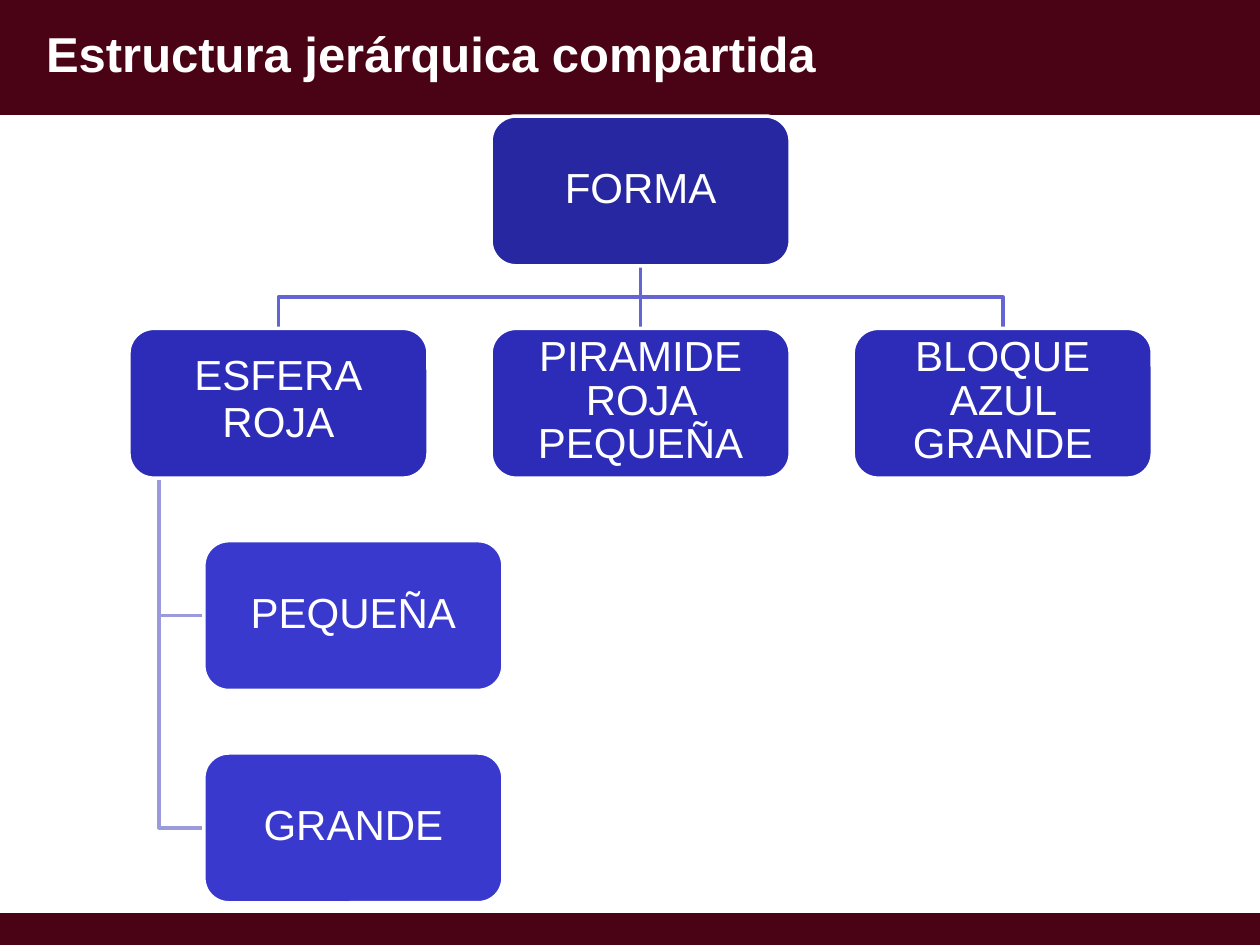
from lxml.etree import SubElement
from pptx import Presentation
from pptx.dml.color import RGBColor
from pptx.enum.shapes import MSO_CONNECTOR, MSO_SHAPE
from pptx.enum.text import MSO_ANCHOR, PP_ALIGN
from pptx.oxml.ns import qn
from pptx.util import Cm, Pt

WINE = RGBColor(0x4A, 0x03, 0x15)
WHITE = RGBColor(0xFF, 0xFF, 0xFF)
ROOT_BLUE = RGBColor(0x27, 0x27, 0xA1)
BRANCH_BLUE = RGBColor(0x2C, 0x2C, 0xB8)
LEAF_BLUE = RGBColor(0x39, 0x39, 0xCD)
BRANCH_LINE = RGBColor(0x64, 0x64, 0xD2)
LEAF_LINE = RGBColor(0x9A, 0x9A, 0xDD)

PAGE_WIDTH, PAGE_HEIGHT = 25.4, 19.05
NODE_WIDTH, NODE_HEIGHT = 6.03, 3.02
COLUMNS = [2.6 + 7.3 * column for column in range(3)]
ROWS = [2.34 + 4.28 * row for row in range(4)]
LEAF_LEFT = 4.11
TRUNK_X = 3.21


def write_text(shape, text, size=24, bold=False, align=PP_ALIGN.CENTER,
               line_spacing=1.0, inset=0, bottom=0, wrap=True):
    """Fill a shape with text, one paragraph for each line."""
    frame = shape.text_frame
    frame.text = text
    frame.word_wrap = wrap
    frame.vertical_anchor = MSO_ANCHOR.MIDDLE
    frame.margin_left = frame.margin_right = Cm(inset)
    frame.margin_top, frame.margin_bottom = 0, Cm(bottom)
    for para in frame.paragraphs:
        para.alignment = align
        para.line_spacing = line_spacing
        para.space_before = Pt(0)
        for span in para.runs:
            span.font.name = "Arial"
            span.font.size = Pt(size)
            span.font.bold = bold
            span.font.color.rgb = WHITE


def add_bar(page, top, height):
    """Add a full-width band behind the title."""
    bar = page.shapes.add_shape(MSO_SHAPE.RECTANGLE, 0, Cm(top),
                                Cm(PAGE_WIDTH), Cm(height))
    bar.shadow.inherit = False
    bar.fill.solid()
    bar.fill.fore_color.rgb = WINE
    bar.line.fill.background()
    page.shapes.title.element.addprevious(bar.element)


def add_title(page, text):
    """Place and format the title placeholder."""
    title = page.shapes.title
    title.left, title.top = Cm(0.93), Cm(0.45)
    title.width, title.height = Cm(15.62), Cm(1.25)
    write_text(title, text, size=28, bold=True, align=PP_ALIGN.LEFT, wrap=False)


def add_node(page, text, left, top, color, line_spacing=1.0, bottom=0.16):
    """Add a rounded node of the hierarchy."""
    node = page.shapes.add_shape(MSO_SHAPE.ROUNDED_RECTANGLE, Cm(left), Cm(top),
                                 Cm(NODE_WIDTH), Cm(NODE_HEIGHT))
    node.shadow.inherit = False
    node.fill.solid()
    node.fill.fore_color.rgb = color
    node.line.color.rgb = WHITE
    node.line.width = Pt(2)
    write_text(node, text, line_spacing=line_spacing, inset=0.5, bottom=bottom)


def add_link(page, points, color):
    """Join nodes by a straight line or a bent one."""
    points = [(Cm(x), Cm(y)) for x, y in points]
    if len(points) == 2:
        link = page.shapes.add_connector(MSO_CONNECTOR.STRAIGHT, *points[0], *points[1])
        SubElement(link.element.spPr, qn("a:effectLst"))
    else:
        builder = page.shapes.build_freeform(*points[0])
        builder.add_line_segments(points[1:], close=False)
        link = builder.convert_to_shape()
        link.shadow.inherit = False
        link.fill.background()
    link.line.color.rgb = color
    link.line.width = Pt(2)


def add_links(page):
    """Draw the links from the root to the branches and on to the leaves."""
    root_x = COLUMNS[1] + NODE_WIDTH / 2
    root_bottom = ROWS[0] + NODE_HEIGHT
    bend_y = (root_bottom + ROWS[1]) / 2
    for left in COLUMNS:
        x = left + NODE_WIDTH / 2
        bends = [] if x == root_x else [(root_x, bend_y), (x, bend_y)]
        add_link(page, [(root_x, root_bottom), *bends, (x, ROWS[1])], BRANCH_LINE)
    for top in ROWS[2:]:
        y = top + NODE_HEIGHT / 2
        add_link(page, [(TRUNK_X, ROWS[1] + NODE_HEIGHT), (TRUNK_X, y),
                        (LEAF_LEFT, y)], LEAF_LINE)


def main():
    """Build the slide and save it."""
    deck = Presentation()
    deck.slide_width, deck.slide_height = Cm(PAGE_WIDTH), Cm(PAGE_HEIGHT)
    page = deck.slides.add_slide(deck.slide_layouts[5])
    add_bar(page, 18.41, 0.64)
    add_bar(page, 0, 2.32)
    add_title(page, "Estructura jerárquica compartida")
    add_links(page)
    add_node(page, "FORMA", COLUMNS[1], ROWS[0], ROOT_BLUE)
    branches = [("ESFERA\nROJA", Pt(26.8), 0.16),
                ("PIRAMIDE ROJA PEQUEÑA", 0.86, 0.04),
                ("BLOQUE AZUL GRANDE", 0.86, 0.04)]
    for left, (text, spacing, bottom) in zip(COLUMNS, branches):
        add_node(page, text, left, ROWS[1], BRANCH_BLUE, spacing, bottom)
    for top, text in zip(ROWS[2:], ["PEQUEÑA", "GRANDE"]):
        add_node(page, text, LEAF_LEFT, top, LEAF_BLUE)
    deck.save("out.pptx")


if __name__ == "__main__":
    main()
